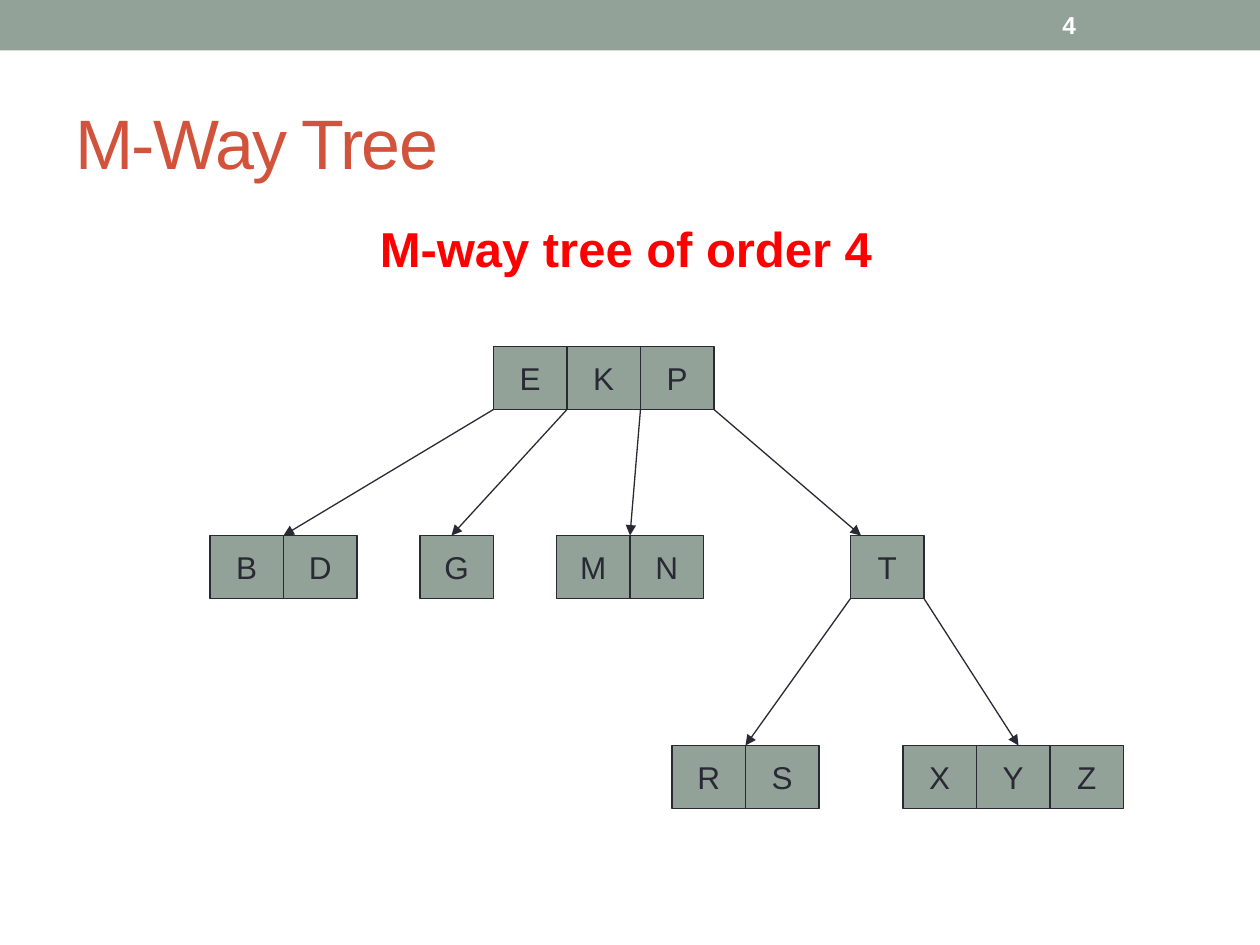
from lxml.etree import SubElement
from pptx import Presentation
from pptx.dml.color import RGBColor
from pptx.enum.shapes import MSO_CONNECTOR as Connector, MSO_SHAPE as Shape
from pptx.enum.text import MSO_ANCHOR as Anchor, PP_ALIGN as Align
from pptx.oxml.ns import qn
from pptx.util import Inches, Pt

COLUMNS, ROWS = 120, 90
UNIT = Inches(10) / COLUMNS
KEY_WIDTH, KEY_HEIGHT = 7, 6
SAGE, INK, RUST, RED, WHITE = "93A299", "292934", "D2533C", "FF0000", "FFFFFF"

NODES = {"EKP": (47, 33), "BD": (20, 51), "G": (40, 51), "MN": (53, 51),
         "T": (81, 51), "RS": (64, 71), "XYZ": (86, 71)}
# Each link: parent, child slot, child, and the column its arrow meets.
LINKS = [("EKP", 0, "BD", 27), ("EKP", 1, "G", 43), ("EKP", 2, "MN", 60),
         ("EKP", 3, "T", 82), ("T", 0, "RS", 71), ("T", 1, "XYZ", 97)]


def grid(*cells):
    """Turn grid columns and rows into slide lengths."""
    return [round(cell * UNIT) for cell in cells]


def paint(color_format, hex_color):
    """Give a fill, line or font colour format a hex colour."""
    color_format.rgb = RGBColor.from_string(hex_color)


def write(shape, text, size, color, bold=False, anchor=Anchor.MIDDLE, align=Align.LEFT):
    """Write one styled paragraph in a shape and return its run."""
    frame = shape.text_frame
    frame.vertical_anchor = anchor
    paragraph = frame.paragraphs[0]
    paragraph.alignment = align
    run = paragraph.add_run()
    run.text = text
    font = paragraph.font
    font.name, font.size, font.bold = "Arial", Pt(size), bold
    paint(font.color, color)
    return run


def add_label(slide, box, text, size, color, **style):
    """Add a text box whose place is given in grid cells."""
    label = slide.shapes.add_textbox(*grid(*box))
    label.text_frame.word_wrap = True
    return write(label, text, size, color, **style)


def add_block(shapes, box):
    """Add a flat sage rectangle without an outline."""
    block = shapes.add_shape(Shape.RECTANGLE, *grid(*box))
    block.shadow.inherit = False
    block.fill.solid()
    paint(block.fill.fore_color, SAGE)
    block.line.fill.background()
    return block


def add_node(slide, keys, column, row):
    """Add a tree node as a row of keys, grouped if there are several."""
    shapes = slide.shapes
    if len(keys) > 1:
        shapes = shapes.add_group_shape().shapes
    for index, key in enumerate(keys):
        cell = add_block(shapes, (column + index * KEY_WIDTH, row, KEY_WIDTH, KEY_HEIGHT))
        cell.line.width = Pt(0.75)
        cell.line.fill.solid()
        paint(cell.line.color, INK)
        cell.text_frame.word_wrap = False
        write(cell, key, 18, INK, align=Align.CENTER)


def add_link(slide, parent, slot, child, end_column):
    """Draw an arrow from a slot under the parent to the top of the child."""
    column, row = NODES[parent]
    start = column + slot * KEY_WIDTH, row + KEY_HEIGHT
    end = end_column, NODES[child][1]
    arrow = slide.shapes.add_connector(Connector.STRAIGHT, *grid(*start, *end))
    arrow.line.width = Pt(0.75)
    paint(arrow.line.color, INK)
    SubElement(arrow.line._get_or_add_ln(), qn("a:tailEnd"), type="triangle")
    SubElement(arrow._element.spPr, qn("a:effectLst"))


def main():
    """Build the M-way tree slide."""
    deck = Presentation()
    deck.slide_width, deck.slide_height = grid(COLUMNS, ROWS)
    slide = deck.slides.add_slide(deck.slide_layouts[6])

    add_block(slide.shapes, (0, 0, COLUMNS, 4.8))
    title = add_label(slide, (6, 7, 108, 13), "M-Way Tree", 40, RUST)
    title._r.get_or_add_rPr().set("spc", "-100")
    add_label(slide, (100, 0.25, 14, 4.3), "4", 14, WHITE, bold=True)

    for keys, (column, row) in NODES.items():
        add_node(slide, keys, column, row)
    for link in LINKS:
        add_link(slide, *link)
    add_label(slide, (35, 20.2, 52.8, 6.9), "M-way tree of order 4", 28, RED,
              bold=True, anchor=Anchor.TOP)
    deck.save("out.pptx")


if __name__ == "__main__":
    main()
